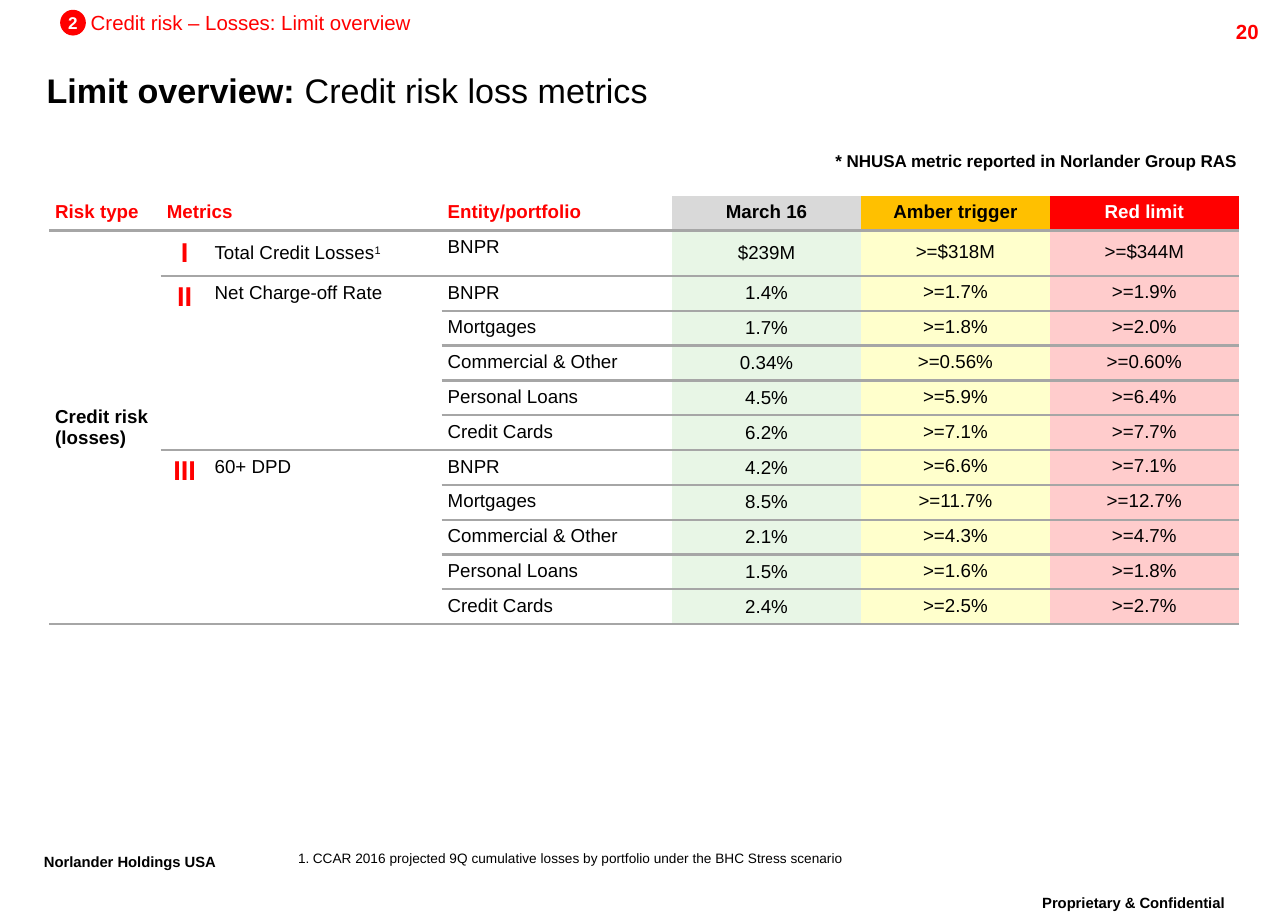
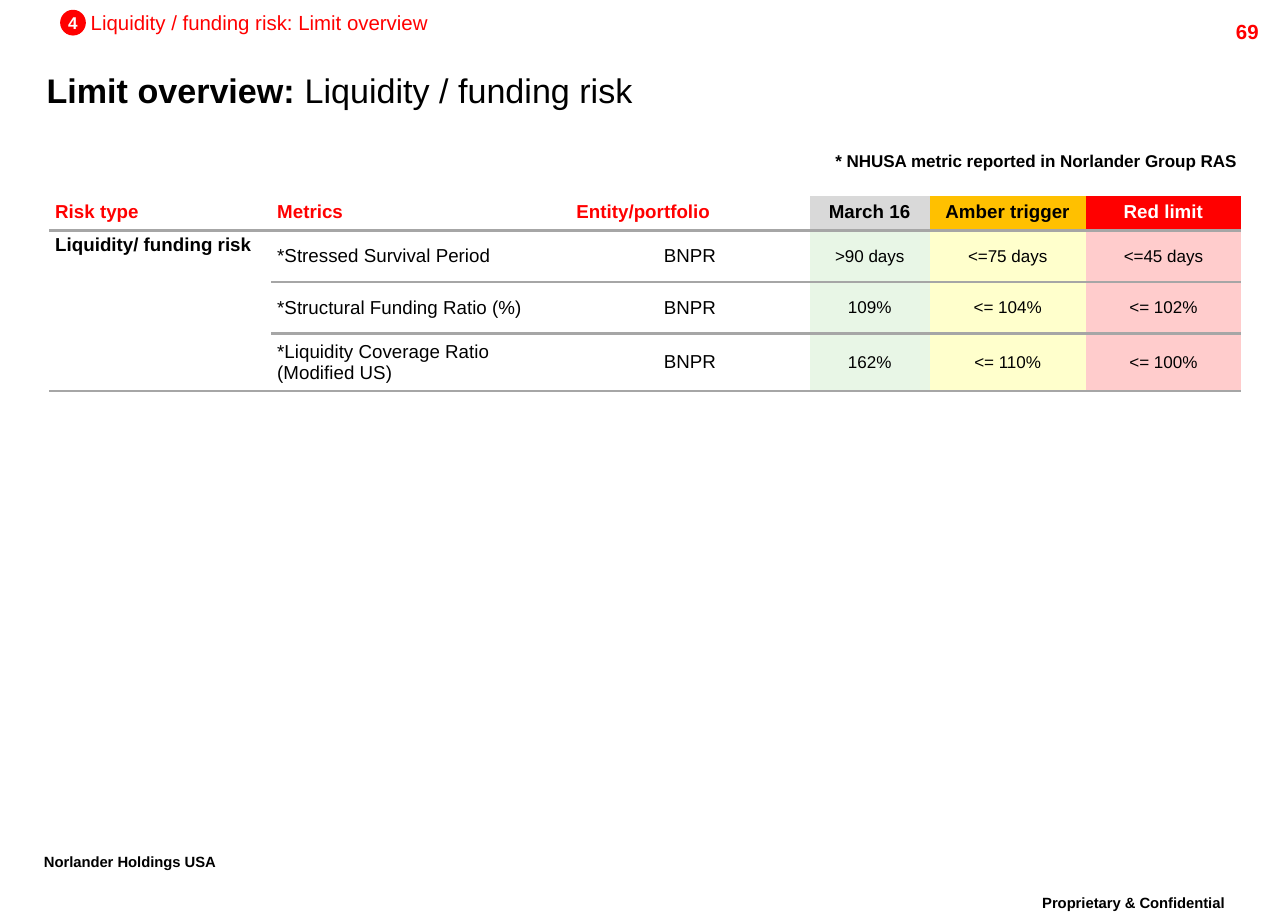
import dataclasses

import lxml.etree
import pptx
import pptx.dml.color
import pptx.enum.shapes
import pptx.enum.text
import pptx.oxml.ns
import pptx.util

Inches = pptx.util.Inches
Pt = pptx.util.Pt
qn = pptx.oxml.ns.qn
Align = pptx.enum.text.PP_ALIGN
Anchor = pptx.enum.text.MSO_ANCHOR
PLAIN_TABLE = "{2D5ABB26-0587-4C30-8999-92F81FD0307C}"


@dataclasses.dataclass(frozen=True)
class Theme:
    font: str = "Arial"
    black: str = "000000"
    white: str = "FFFFFF"
    red: str = "FF0000"
    rule: str = "A6A6A6"
    heads: tuple = (("D9D9D9", "000000"), ("FFC000", "000000"), ("FF0000", "FFFFFF"))
    tints: tuple = ("E8F6E6", "FFFFCC", "FFCCCC")
    title: int = 20
    mark: int = 16
    foot: int = 15
    topic: int = 12
    body: int = 11
    small: int = 10
    note: int = 8
    tight: float = 0.86


THEME = Theme()


@dataclasses.dataclass(frozen=True)
class Style:
    size: int = THEME.body
    color: str = THEME.black
    bold: bool = False
    align: Align = Align.LEFT
    anchor: Anchor = Anchor.MIDDLE
    tight: bool = False
    raised: bool = False


def rgb(code):
    return pptx.dml.color.RGBColor.from_string(code)


class Deck:
    def __init__(self):
        self.show = pptx.Presentation()
        self.show.slide_width = Inches(10.5)
        self.show.slide_height = Inches(7.5)
        self.slide = None

    def add_run(self, para, text, style, **change):
        style = dataclasses.replace(style, **change)
        run = para.add_run()
        run.text = text
        run.font.name = THEME.font
        run.font.size = Pt(style.size)
        run.font.bold = style.bold
        run.font.color.rgb = rgb(style.color)
        if style.raised:
            run.font._element.set("baseline", "30000")

    def set_text(self, frame, text, style):
        para = frame.paragraphs[0]
        para.alignment = style.align
        if style.tight:
            para.line_spacing = THEME.tight
        self.add_run(para, text, style)
        return para

    def text(self, box, text, style, inset=(0.1, 0.05), wrap=True):
        frame = self.slide.shapes.add_textbox(*map(Inches, box)).text_frame
        frame.word_wrap = wrap
        frame.vertical_anchor = style.anchor
        frame.margin_left = frame.margin_right = Inches(inset[0])
        frame.margin_top = frame.margin_bottom = Inches(inset[1])
        return self.set_text(frame, text, style)

    def badge(self, text):
        oval = self.slide.shapes.add_shape(
            pptx.enum.shapes.MSO_SHAPE.OVAL, *map(Inches, (0.49, 0.08, 0.21, 0.21)))
        oval.shadow.inherit = False
        oval.fill.solid()
        oval.fill.fore_color.rgb = rgb(THEME.red)
        oval.line.fill.background()
        frame = oval.text_frame
        frame.word_wrap = False
        frame.vertical_anchor = Anchor.MIDDLE
        self.set_text(frame, text, Style(THEME.small, THEME.white, True, Align.CENTER))

    def page(self, number, part, topic, title):
        """Start a slide with the title, topic and footers that all slides share."""
        self.slide = self.show.slides.add_slide(self.show.slide_layouts[6])
        foot = Style(THEME.foot, bold=True, anchor=Anchor.TOP, tight=True, raised=True)
        center = dataclasses.replace(foot, align=Align.CENTER)
        self.text((8.15, 7.25, 2.18, 0.35), "Proprietary & Confidential", center)
        self.text((0.26, 6.91, 1.91, 0.35), "Norlander Holdings USA", foot, wrap=False)
        self.text((9.36, 0.11, 1, 0.24), number,
                  Style(THEME.topic, THEME.red, True, Align.RIGHT, Anchor.TOP))
        head = Style(THEME.title, bold=True)
        para = self.text((0.38, 0.49, 9.48, 0.48), "Limit overview: ", head, (0, 0))
        self.add_run(para, title, head, bold=False)
        self.badge(part)
        self.text((0.74, 0.08, 2.8, 0.2), topic,
                  Style(THEME.topic, THEME.red, anchor=Anchor.TOP), (0, 0), False)
        self.text((6.68, 1.2, 3.53, 0.25), "* NHUSA metric reported in Norlander Group RAS",
                  dataclasses.replace(center, size=THEME.small, raised=False), wrap=False)

    def note(self, text):
        para = self.text((2.43, 6.93, 7.45, 0.13), text,
                         Style(THEME.note, anchor=Anchor.BOTTOM), (0, 0))
        props = para._p.get_or_add_pPr()
        props.set("marL", str(Inches(0.12)))
        props.set("indent", str(-Inches(0.12)))
        lxml.etree.SubElement(props, qn("a:buAutoNum"), type="arabicPeriod")

    def rule(self, cell):
        line = lxml.etree.Element(qn("a:lnB"), w=str(Pt(1.5)))
        fill = lxml.etree.SubElement(line, qn("a:solidFill"))
        lxml.etree.SubElement(fill, qn("a:srgbClr"), val=THEME.rule)
        cell._tc.get_or_add_tcPr().insert(0, line)

    def cell(self, cell, text, style, fill, inset):
        cell.vertical_anchor = style.anchor
        cell.margin_left = cell.margin_right = Inches(inset)
        cell.margin_top = cell.margin_bottom = Inches(inset)
        if fill:
            cell.fill.solid()
            cell.fill.fore_color.rgb = rgb(fill)
        else:
            cell.fill.background()
        base, _, mark = text.partition("^")
        para = self.set_text(cell.text_frame, base, style)
        if mark:
            self.add_run(para, mark, style, raised=True)

    def table(self, widths, heights, rows, styles):
        """Draw rows; None joins the cell above, or the cell to the left in the header."""
        count, wide = len(rows), len(widths)
        frame = self.slide.shapes.add_table(
            count, wide, Inches(0.4), Inches(1.6), Inches(sum(widths)), Inches(sum(heights)))
        grid = frame.table
        grid.first_row = grid.horz_banding = False
        grid._tbl.tblPr.find(qn("a:tableStyleId")).text = PLAIN_TABLE
        for column, width in zip(grid.columns, widths):
            column.width = Inches(width)
        for row, height in zip(grid.rows, heights):
            row.height = Inches(height)
        for r, row in enumerate(rows):
            for c, text in enumerate(row):
                if text is None:
                    continue
                low, right = r, c
                while r and low + 1 < count and rows[low + 1][c] is None:
                    low += 1
                while not r and right + 1 < wide and row[right + 1] is None:
                    right += 1
                cell = grid.cell(r, c)
                if (low, right) != (r, c):
                    cell.merge(grid.cell(low, right))
                tint = c - (wide - 3)
                fill, style, inset = None, styles[c], 0.05
                if r == 0:
                    style = Style(color=THEME.red, bold=True, tight=True)
                    if tint >= 0:
                        fill, color = THEME.heads[tint]
                        style = dataclasses.replace(style, color=color, align=Align.CENTER)
                else:
                    if tint >= 0:
                        fill = THEME.tints[tint]
                        inset = 0 if style.tight else inset
                    if low > r and 0 < c:
                        style = dataclasses.replace(style, anchor=Anchor.TOP)
                self.cell(cell, text, style, fill, inset)
                for spot in {(r, c), (low, c), (low, right)}:
                    self.rule(grid.cell(*spot))


LIMITS = ["March 16", "Amber trigger", "Red limit"]
BOOKS = ["BNPR", "Mortgages", "Commercial & Other", "Personal Loans", "Credit Cards"]


def rate_rows(mark, metric, rates):
    """Give one row per loan book, with mark and metric on the first row only."""
    return [[None, None if i else mark, None if i else metric, book, *rate]
            for i, (book, rate) in enumerate(zip(BOOKS, rates))]


def credit(deck):
    deck.page("20", "2", "Credit risk – Losses: Limit overview", "Credit risk loss metrics")
    rows = [
        ["Risk type", "Metrics", None, "Entity/portfolio", *LIMITS],
        ["Credit risk (losses)", "I", "Total Credit Losses^1", "BNPR",
         "$239M", ">=$318M", ">=$344M"],
        *rate_rows("II", "Net Charge-off Rate", [
            ("1.4%", ">=1.7%", ">=1.9%"), ("1.7%", ">=1.8%", ">=2.0%"),
            ("0.34%", ">=0.56%", ">=0.60%"), ("4.5%", ">=5.9%", ">=6.4%"),
            ("6.2%", ">=7.1%", ">=7.7%")]),
        *rate_rows("III", "60+ DPD", [
            ("4.2%", ">=6.6%", ">=7.1%"), ("8.5%", ">=11.7%", ">=12.7%"),
            ("2.1%", ">=4.3%", ">=4.7%"), ("1.5%", ">=1.6%", ">=1.8%"),
            ("2.4%", ">=2.5%", ">=2.7%")]),
    ]
    value = Style(align=Align.CENTER)
    limit = dataclasses.replace(value, tight=True)
    styles = [Style(bold=True), Style(THEME.mark, THEME.red, True, Align.CENTER), Style(),
              Style(anchor=Anchor.TOP), value, limit, limit]
    heights = [0.28, 0.37] + [2.84 / 10] * 10
    deck.table([0.91, 0.39, 1.9, 1.88, 1.54, 1.54, 1.54], heights, rows, styles)
    deck.note("CCAR 2016 projected 9Q cumulative losses by portfolio "
              "under the BHC Stress scenario")


def funding(deck):
    deck.page("69", "4", "Liquidity / funding risk: Limit overview",
              "Liquidity / funding risk")
    rows = [
        ["Risk type", "Metrics", "Entity/portfolio", *LIMITS],
        ["Liquidity/ funding risk", "*Stressed Survival Period", "BNPR",
         ">90 days", "<=75 days", "<=45 days"],
        [None, "*Structural Funding Ratio (%)", "BNPR", "109%", "<= 104%", "<= 102%"],
        [None, "*Liquidity Coverage Ratio (Modified US)", "BNPR",
         "162%", "<= 110%", "<= 100%"],
    ]
    styles = [Style(bold=True, anchor=Anchor.TOP, tight=True), Style(),
              Style(align=Align.CENTER)] + [Style(THEME.small, align=Align.CENTER)] * 3
    deck.table([1.81, 2.44, 1.95, 0.98, 1.27, 1.27], [0.28, 0.42, 0.42, 0.47], rows, styles)


def main():
    deck = Deck()
    credit(deck)
    funding(deck)
    deck.show.save("out.pptx")


if __name__ == "__main__":
    main()
